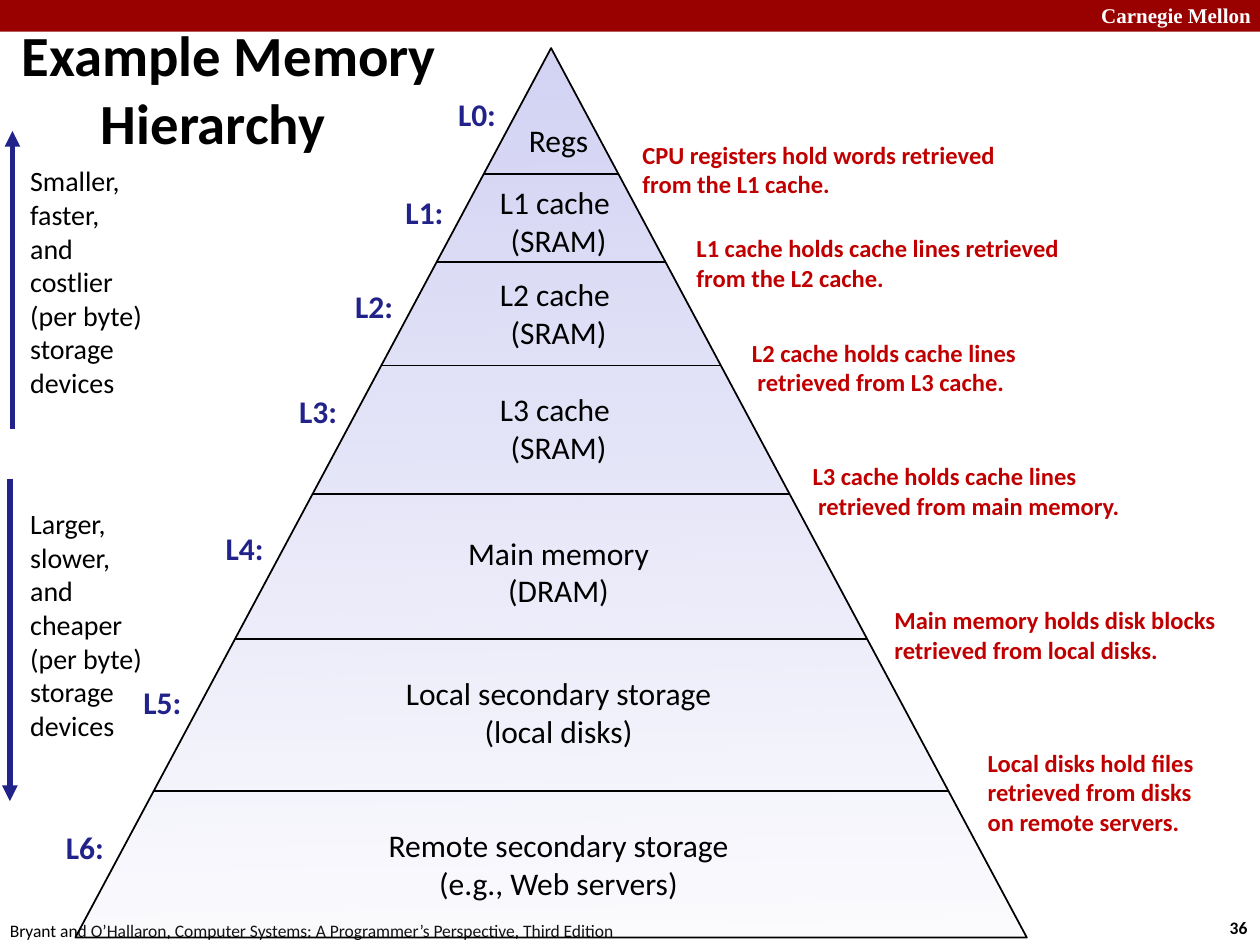
from lxml import etree
from pptx import Presentation
from pptx.dml.color import RGBColor
from pptx.enum import shapes, text
from pptx.oxml.ns import qn
from pptx.util import Cm, Pt

BLACK = RGBColor(0, 0, 0)
WHITE = RGBColor(255, 255, 255)
MAROON = RGBColor(0x99, 0, 0)
RED = RGBColor(0xC0, 0, 0)
NAVY = RGBColor(0x22, 0x22, 0x8B)
LAVENDER = RGBColor(0xD2, 0xD2, 0xF4)

LEVELS = [
    ("Regs", 1.85, 1.32),
    ("L1 cache \n(SRAM)", 3.49, 3.3),
    ("L2 cache \n(SRAM)", 5.34, 5.2),
    ("L3 cache \n(SRAM)", 7.65, 7.31),
    ("Main memory\n(DRAM)", 10.55, 10.08),
    ("Local secondary storage\n(local disks)", 13.39, 13.18),
    ("Remote secondary storage\n(e.g., Web servers)", 16.44, 16.1),
]
SEPARATORS = [2.54, 4.31, 6.4, 8.99, 11.91, 14.98]
NOTES = [
    ("CPU registers hold words retrieved from the L1 cache.", 0, 0, 8.1, 1.45),
    ("L1 cache holds cache lines retrieved from the L2 cache.", 1.09, 1.88, 7.87, 1.45),
    ("L2 cache holds cache lines\n retrieved from L3 cache.", 2.21, 3.99, 7.32, 1.45),
    ("L3 cache holds cache lines\n retrieved from main memory.", 3.43, 6.48, 8, 1.45),
    ("Main memory holds disk blocks retrieved from local disks.", 5.08, 9.38, 7.09, 1.45),
    ("Local disks hold files retrieved from disks\non remote servers.", 6.96, 12.25, 5.74, 2.06),
]


def set_font(p, color, **fmt):
    """Apply font values to a paragraph."""
    for name, value in {"name": "Calibri", "bold": False, **fmt}.items():
        setattr(p.font, name, value)
    p.font.color.rgb = color


def add_text(s, box, words, size, color=BLACK, align=text.PP_ALIGN.LEFT, wrap=False,
             anchor=text.MSO_ANCHOR.MIDDLE, **fmt):
    """Add a text box with one paragraph per line of words."""
    tf = s.shapes.add_textbox(*map(Cm, box)).text_frame
    tf.text = words
    tf.word_wrap = wrap
    tf.vertical_anchor = anchor
    for p in tf.paragraphs:
        p.alignment = align
        set_font(p, color, size=Pt(size), **fmt)


def add_line(s, ends, color, width, arrow=False):
    """Add a straight line, with an arrowhead at its end on request."""
    cx = s.shapes.add_connector(shapes.MSO_CONNECTOR.STRAIGHT, *map(Cm, ends))
    cx.line.color.rgb = color
    cx.line.width = Pt(width)
    if arrow:
        etree.SubElement(cx.line._get_or_add_ln(), qn("a:tailEnd"), type="triangle")
    etree.SubElement(cx._element.spPr, qn("a:effectLst"))


def add_header(s, box):
    """Place the coloured bar with the university name."""
    x, y, w, h = box
    sp = s.shapes.add_shape(shapes.MSO_SHAPE.RECTANGLE, *map(Cm, box))
    sp.shadow.inherit = False
    sp.fill.solid()
    sp.fill.fore_color.rgb = MAROON
    sp.line.fill.background()
    add_text(s, (x + w - 3.45, y - 0.08, 3.63, 0.76), "Carnegie Mellon", 12, WHITE,
             wrap=True, anchor=text.MSO_ANCHOR.TOP, name="Times New Roman", bold=True)


def add_footer(s, box):
    """Place the book credit and the slide number."""
    x, y, w, h = box
    top = text.MSO_ANCHOR.TOP
    add_text(s, (x - 0.05, y, 12.9, h), "Bryant and O’Hallaron, Computer Systems: "
             "A Programmer’s Perspective, Third Edition", 10, anchor=top)
    add_text(s, (x + w - 0.86, y - 0.05, 0.94, h), "36", 10, anchor=top, bold=True)


def add_title(s, box):
    """Fill and place the title placeholder."""
    sp = s.shapes.title
    sp.left, sp.top, sp.width, sp.height = map(Cm, box)
    tf = sp.text_frame
    tf.text = "Example Memory\vHierarchy"
    tf.auto_size = text.MSO_AUTO_SIZE.NONE
    tf.vertical_anchor = text.MSO_ANCHOR.MIDDLE
    p = tf.paragraphs[0]
    p.alignment = text.PP_ALIGN.LEFT
    hang = Cm(1.6)
    p._p.get_or_add_pPr().set("marL", str(hang))
    p._p.get_or_add_pPr().set("indent", str(-hang))
    set_font(p, BLACK, size=Pt(32.4), bold=True)


def add_pyramid(s, box):
    """Place the triangle, its separators, level names and level tags."""
    x, y, w, h = box
    middle = x + w / 2
    slope = w / 2 / h
    sp = s.shapes.add_shape(shapes.MSO_SHAPE.ISOSCELES_TRIANGLE, *map(Cm, box))
    sp.shadow.inherit = False
    sp.line.color.rgb = BLACK
    sp.line.width = Pt(1)
    sp.fill.gradient()
    sp.fill.gradient_angle = 91
    for stop, position in zip(sp.fill.gradient_stops, (0, 1)):
        stop.color.rgb = LAVENDER
        stop.position = position
    first = sp._element.spPr.find(".//" + qn("a:srgbClr"))
    etree.SubElement(first, qn("a:alpha"), val="7000")

    for dy in SEPARATORS:
        half = dy * slope
        add_line(s, (middle - half, y + dy, middle + half, y + dy), BLACK, 1)
    for i, (name, name_dy, tag_dy) in enumerate(LEVELS):
        height = 1.8 if "\n" in name else 1.02
        add_text(s, (middle - 3.6, y + name_dy - height / 2, 7.5, height), name, 18,
                 align=text.PP_ALIGN.CENTER)
        tag_right = middle - tag_dy * slope - 0.12
        add_text(s, (tag_right - 1.3, y + tag_dy - 0.51, 1.3, 1.02), f"L{i}:", 18,
                 NAVY, bold=True)


def add_notes(s, box):
    """Place the remarks that step down the right side."""
    x, y = box[:2]
    for words, dx, dy, w, h in NOTES:
        add_text(s, (x + dx, y + dy, w, h), words, 14, RED, wrap=True, bold=True)


def add_trend(s, box, words, offset, up):
    """Place a vertical arrow with its description on the right."""
    x, y, w, h = box
    start, end = (y + h, y) if up else (y, y + h)
    add_line(s, (x, start, x, end), NAVY, 3, arrow=True)
    add_text(s, (x + w - 2.79, y + offset, 2.79, 5.05), words, 16)


def main():
    """Build the slide and save it."""
    prs = Presentation()
    prs.slide_width, prs.slide_height = Cm(25.4), Cm(19.05)
    s = prs.slides.add_slide(prs.slide_layouts[5])
    add_header(s, (0, 0, 25.4, 0.64))
    add_footer(s, (0, 18.42, 25.4, 0.69))
    add_title(s, (0.18, 0.69, 24.2, 2.18))
    add_pyramid(s, (1.52, 0.97, 19.18, 17.93))
    add_notes(s, (12.7, 2.69, 12.7, 14.31))
    add_trend(s, (0.25, 2.64, 2.9, 6),
              "Smaller,\nfaster,\nand\ncostlier\n(per byte)\nstorage\ndevices", 0.51, True)
    add_trend(s, (0.2, 9.65, 2.95, 6.5),
              "Larger,\nslower,\nand\ncheaper\n(per byte)\nstorage\ndevices", 0.41, False)
    prs.save("out.pptx")


if __name__ == "__main__":
    main()
